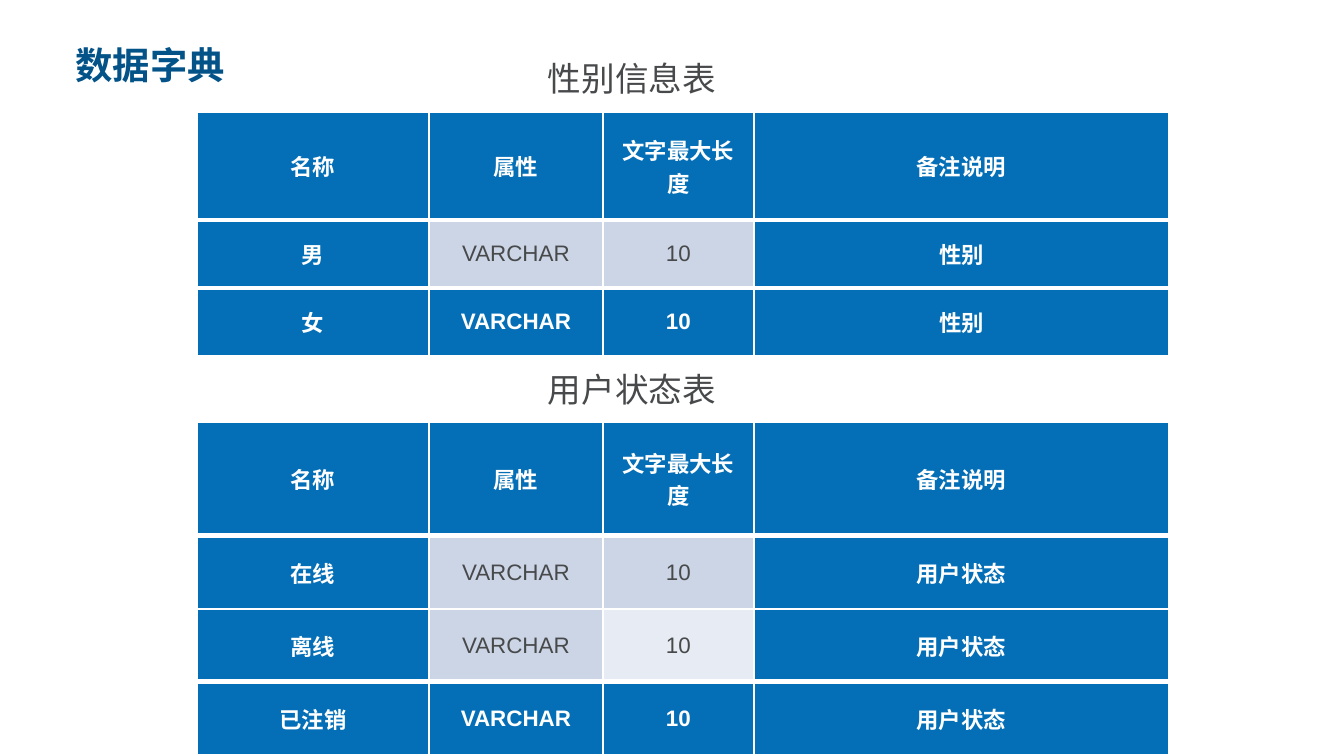
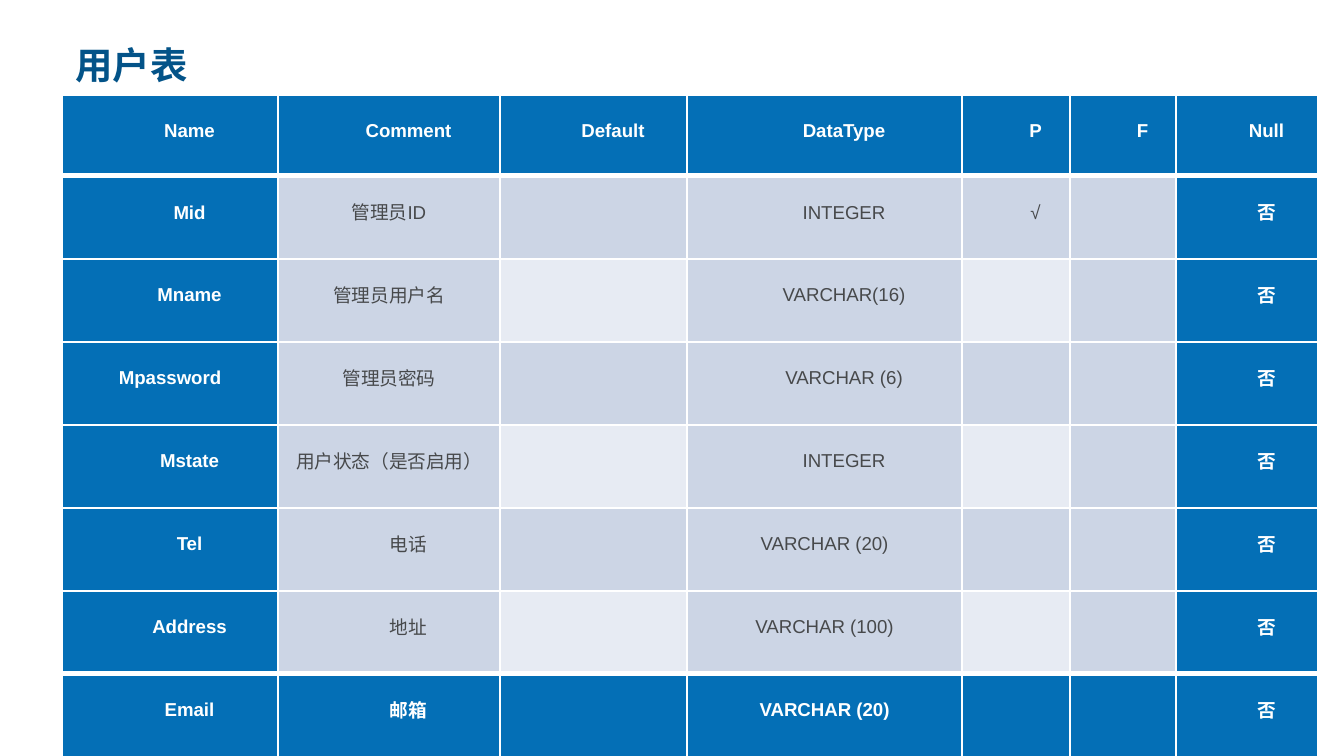
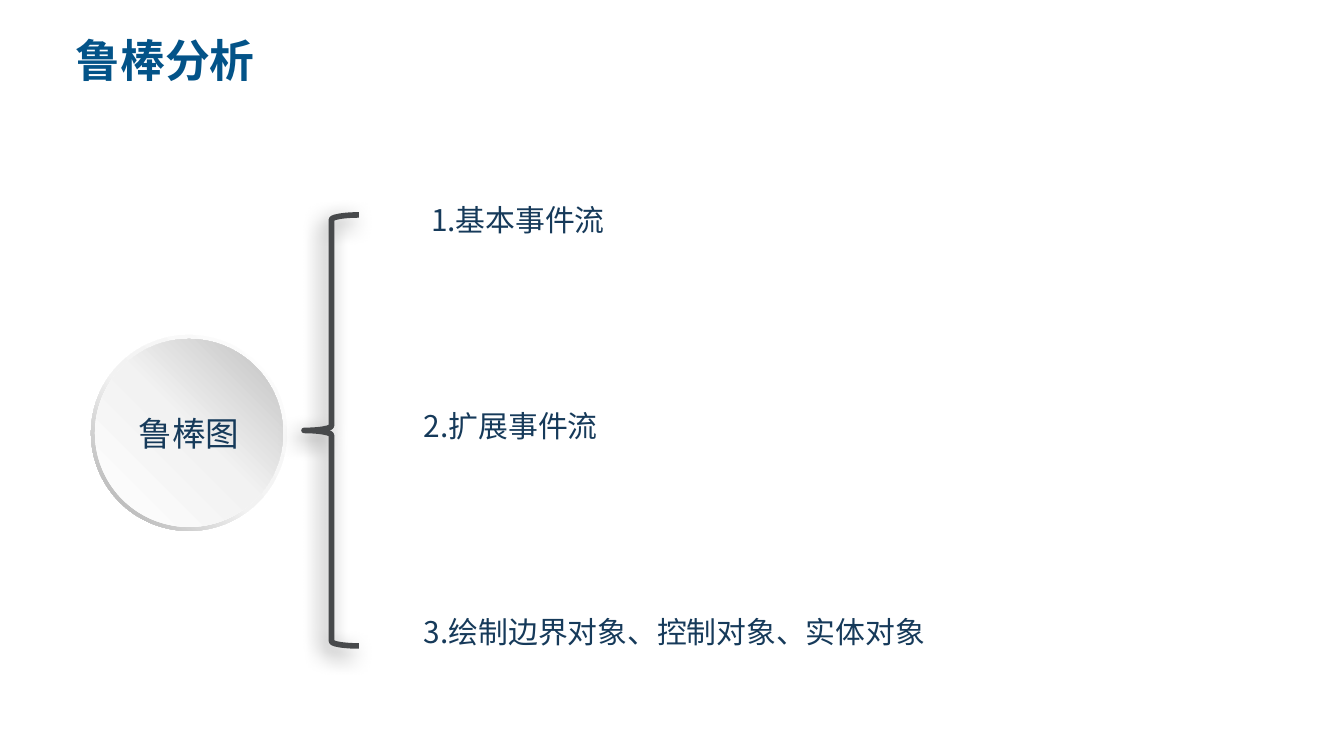
from lxml import etree
from pptx import Presentation
from pptx import util as u
from pptx.dml.color import RGBColor
from pptx.enum import shapes, text
from pptx.oxml import ns

PX = 914400 / 134.4
SLIDE_W, SLIDE_H = 1344, 756
TITLE_BOX = (62, 17, 1219, 77)
COLORS = {
    "white": "FFFFFF", "title": "035388", "body": "47494B", "ink": "163A5A",
    "blue": "046FB6", "band": "CCD5E5", "pale": "E7EBF3",
    "light": "F2F2F2", "silver": "BFBFBF", "gray": "A6A6A6", "black": "000000",
}
SANS, HEAD, SERIF, CJK = "Arial", "Montserrat", "Times New Roman", "Noto Sans CJK SC"
INDENT = 39

# Data dictionary content
HEADER = ["名称", "属性", "文字最大长度", "备注说明"]
GENDERS = [HEADER] + [[name, "VARCHAR", "10", "性别"] for name in ("男", "女")]
STATES = [HEADER] + [[name, "VARCHAR", "10", "用户状态"]
                     for name in ("在线", "离线", "已注销")]
DICT_COLS = [232, 174, 151, 415]

# User table content: name, comment, data type, primary key
FIELDS = [
    ("Mid", "管理员ID", "INTEGER", "√"),
    ("Mname", "管理员用户名", "VARCHAR(16)", ""),
    ("Mpassword", "管理员密码", "VARCHAR (6)", ""),
    ("Mstate", "用户状态（是否启用）", "INTEGER", ""),
    ("Tel", "电话", "VARCHAR (20)", ""),
    ("Address", "地址", "VARCHAR (100)", ""),
    ("Email", "邮箱", "VARCHAR (20)", ""),
]
USERS = [["Name", "Comment", "Default", "DataType", "P", "F", "Null"]] + [
    [name, comment, "", kind, key, "", "否"] for name, comment, kind, key in FIELDS]
USER_COLS = [216, 222, 187, 275, 108, 106, 142]
NOT_INDENTED = {"Mpassword", "管理员ID", "管理员用户名", "管理员密码",
                "用户状态（是否启用）", "VARCHAR (20)", "VARCHAR (100)"}


def px(n):
    return u.Emu(round(n * PX))


def box(*lengths):
    return [px(n) for n in lengths]


def rgb(name):
    return RGBColor.from_string(COLORS[name])


def sub(parent, tag, **attrs):
    return etree.SubElement(parent, ns.qn(tag), {k: str(v) for k, v in attrs.items()})


def write(paragraph, words, size, face, color, bold=False, align=None):
    paragraph.text = words
    font = paragraph.font
    font.size, font.name, font.bold = u.Pt(size), face, bold
    font.color.rgb = rgb(color)
    paragraph.alignment = align


def new_slide(prs, heading, size=20):
    slide = prs.slides.add_slide(prs.slide_layouts[5])
    title = slide.shapes.title
    title.left, title.top, title.width, title.height = box(*TITLE_BOX)
    frame = title.text_frame
    frame.vertical_anchor = text.MSO_ANCHOR.BOTTOM
    frame.auto_size = text.MSO_AUTO_SIZE.NONE
    write(frame.paragraphs[0], heading, size, HEAD, "title", True, text.PP_ALIGN.LEFT)
    frame.paragraphs[0].line_spacing = 0.9
    return slide


def add_label(slide, area, words, size, face, color, wrap, inset=13):
    frame = slide.shapes.add_textbox(*box(*area)).text_frame
    frame.word_wrap = wrap
    frame.auto_size = text.MSO_AUTO_SIZE.SHAPE_TO_FIT_TEXT
    frame.margin_left = px(inset)
    write(frame.paragraphs[0], words, size, face, color)
    return frame


# Tables
def set_borders(cell, top, bottom):
    props = cell._tc.get_or_add_tcPr()
    widths = (("a:lnL", 1), ("a:lnR", 1), ("a:lnT", top), ("a:lnB", bottom))
    for tag, width in widths:
        line = sub(props, tag, w=u.Pt(width))
        sub(sub(line, "a:solidFill"), "a:srgbClr", val=COLORS["white"])


def add_grid(slide, left, top, cols, heights, rows, size, compact=False):
    last_row, last_col = len(rows) - 1, len(cols) - 1
    frame = slide.shapes.add_table(len(rows), len(cols),
                                   *box(left, top, sum(cols), sum(heights)))
    table = frame.table
    for column, width in zip(table.columns, cols):
        column.width = px(width)
    for row, height in zip(table.rows, heights):
        row.height = px(height)

    for r, values in enumerate(rows):
        for c, value in enumerate(values):
            cell = table.cell(r, c)
            strong = r in (0, last_row) or c in (0, last_col)
            cell.margin_left = cell.margin_right = px(9)
            cell.margin_top = cell.margin_bottom = 0
            cell.vertical_anchor = text.MSO_ANCHOR.MIDDLE
            paragraph = cell.text_frame.paragraphs[0]
            write(paragraph, value, size, SANS, "white" if strong else "body",
                  strong, text.PP_ALIGN.CENTER)
            if compact:
                paragraph.line_spacing = 0.25
                if value not in NOT_INDENTED:
                    paragraph._p.get_or_add_pPr().set("indent", str(px(INDENT)))
            # Heavy rules lie below the header and above the last row
            set_borders(cell, 3 if r in (1, last_row) else 1,
                        3 if r in (0, last_row - 1) else 1)
            stripe = "pale" if r % 2 == 0 and c % 2 == 0 else "band"
            cell.fill.solid()
            cell.fill.fore_color.rgb = rgb("blue" if strong else stripe)


def dictionary_slide(prs):
    slide = new_slide(prs, "数据字典")
    tables = (("性别信息表", 51, 112, [108, 68, 68], GENDERS),
              ("用户状态表", 362, 422, [114, 73, 73, 73], STATES))
    for caption, caption_top, top, heights, rows in tables:
        frame = add_label(slide, (535, caption_top, 196, 54), caption,
                          18, SERIF, "body", wrap=False)
        frame.vertical_anchor = text.MSO_ANCHOR.MIDDLE
        add_grid(slide, 197, top, DICT_COLS, heights, rows, 12)


def user_slide(prs):
    slide = new_slide(prs, "用户表")
    add_grid(slide, 62, 95, USER_COLS, [81] + [83] * len(FIELDS), USERS, 10, compact=True)


# Robustness diagram
def fill_gradient(shape, angle, stops):
    shape.fill.gradient()
    shape.fill.gradient_angle = angle
    stop_list = shape._element.spPr.find(".//" + ns.qn("a:gsLst"))
    for old in list(stop_list):
        stop_list.remove(old)
    for position, color in stops:
        stop = sub(stop_list, "a:gs", pos=position * 1000)
        sub(stop, "a:srgbClr", val=COLORS[color])


def add_badge(slide, left, top, size, words):
    rim = 4
    group = slide.shapes.add_group_shape()
    ring = group.shapes.add_shape(shapes.MSO_SHAPE.DONUT, *box(left, top, size, size))
    ring.adjustments[0] = 0.05
    fill_gradient(ring, 225, [(0, "white"), (55, "light"), (100, "gray")])
    inner = size - 2 * rim
    disc = group.shapes.add_shape(shapes.MSO_SHAPE.OVAL,
                                  *box(left + rim, top + rim, inner, inner))
    fill_gradient(disc, 45, [(0, "white"), (51, "light"), (100, "silver")])
    for part in (ring, disc):
        part.line.fill.background()
        part.shadow.inherit = False
    disc.text_frame.vertical_anchor = text.MSO_ANCHOR.MIDDLE
    write(disc.text_frame.paragraphs[0], words, 18, CJK, "ink",
          align=text.PP_ALIGN.CENTER)


def add_brace(slide, *area):
    brace = slide.shapes.add_shape(shapes.MSO_SHAPE.LEFT_BRACE, *box(*area))
    brace.fill.background()
    brace.line.color.rgb = rgb("body")
    brace.line.width = u.Pt(3)
    brace.shadow.inherit = False
    effects = brace._element.spPr.find(ns.qn("a:effectLst"))
    shadow = sub(effects, "a:outerShdw", blurRad=u.Pt(11), dist=u.Pt(5),
                 dir=135 * 60000, algn="tr", rotWithShape=0)
    sub(sub(shadow, "a:srgbClr", val=COLORS["black"]), "a:alpha", val=50000)


def robustness_slide(prs):
    slide = new_slide(prs, "鲁棒分析", 24)
    add_badge(slide, 91, 335, 196, "鲁棒图")
    add_brace(slide, 304, 215, 55, 431)
    steps = (("1.基本事件流", 418, 317, 13),
             ("2.扩展事件流", 398, 285, 26),
             ("3.绘制边界对象、控制对象、实体对象", 398, 602, 26))
    for i, (words, left, width, inset) in enumerate(steps):
        add_label(slide, (left, 195 + 206 * i, width, 50), words,
                  16, CJK, "ink", wrap=True, inset=inset)


def main():
    prs = Presentation()
    prs.slide_width, prs.slide_height = box(SLIDE_W, SLIDE_H)
    dictionary_slide(prs)
    user_slide(prs)
    robustness_slide(prs)
    prs.save("out.pptx")


if __name__ == "__main__":
    main()
